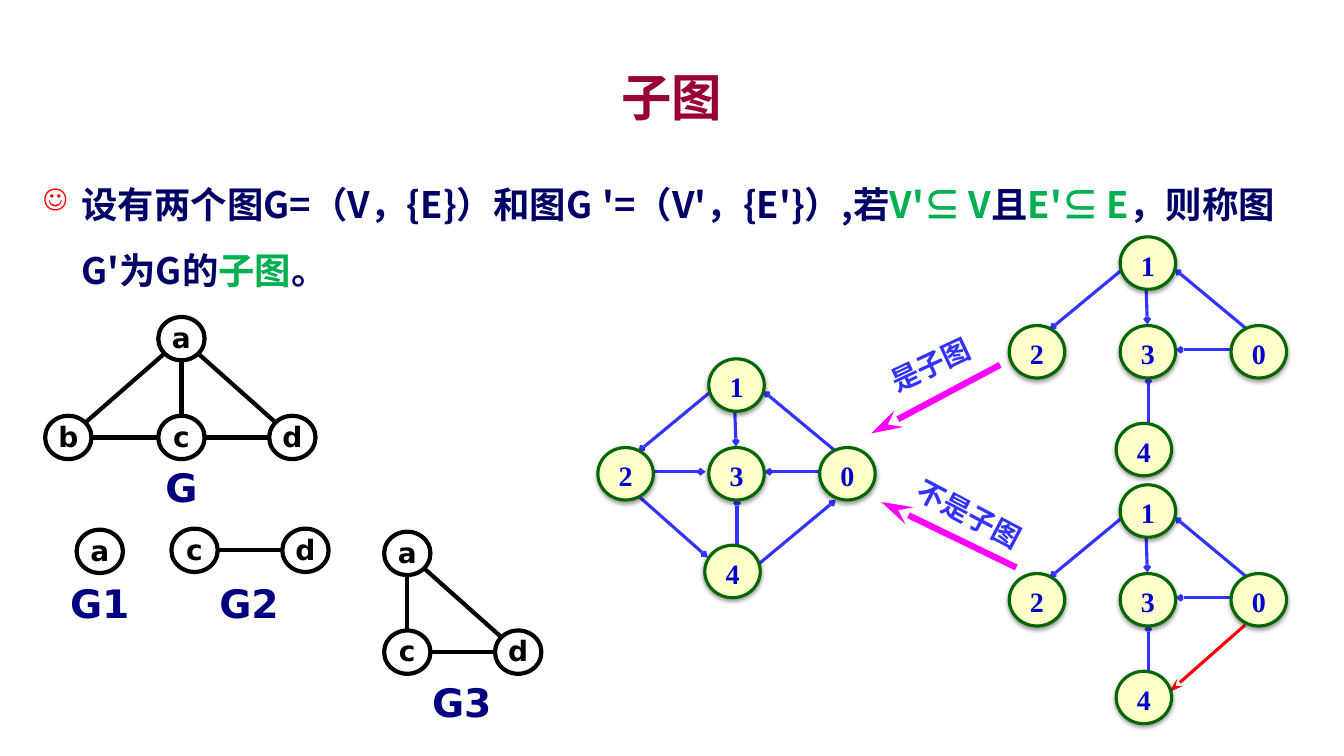
from math import hypot
from lxml import etree
from pptx import Presentation
from pptx.dml.color import RGBColor
from pptx.enum.shapes import MSO_CONNECTOR, MSO_SHAPE
from pptx.enum.text import MSO_ANCHOR, PP_ALIGN
from pptx.oxml.ns import qn
from pptx.util import Inches, Pt

OVAL, LINE = MSO_SHAPE.OVAL, MSO_CONNECTOR.STRAIGHT
TOP, MIDDLE, BOTTOM = MSO_ANCHOR.TOP, MSO_ANCHOR.MIDDLE, MSO_ANCHOR.BOTTOM
CENTER = PP_ALIGN.CENTER

MAROON = RGBColor(0x99, 0x00, 0x33)
INK = RGBColor(0x00, 0x00, 0x66)
GREEN = RGBColor(0x00, 0xB0, 0x50)
BLUE = RGBColor(0x33, 0x33, 0xFF)
NAVY = RGBColor(0x00, 0x00, 0x80)
DIGIT = RGBColor(0x00, 0x00, 0xCC)
CREAM = RGBColor(0xFF, 0xFF, 0xCC)
FOREST = RGBColor(0x00, 0x66, 0x00)
PINK = RGBColor(0xFF, 0x00, 0xFF)
RED = RGBColor(0xFF, 0x00, 0x00)
BLACK = RGBColor(0, 0, 0)

HAN, SANS, SERIF = "Noto Sans CJK SC", "DejaVu Sans", "Times New Roman"

TITLE = "子图"
BODY = [
    ("设有两个图G=（V，{E}）和图G", HAN, 26, INK),
    (" ", SERIF, 28, BLUE),
    ("'=（V'，{E'}）,若", HAN, 26, INK),
    ("V'⊆ V", HAN, 26, GREEN),
    ("且", HAN, 26, INK),
    ("E'⊆ E", HAN, 26, GREEN),
    ("，则称图G'为G的", HAN, 26, INK),
    ("子图", HAN, 26, GREEN),
    ("。", HAN, 26, INK),
]

DISC = (0.55, 0.52)
SPOTS = {"1": (0, 0), "3": (0, 0.88), "0": (1.1, 0.88),
         "2": (-1.1, 0.88), "4": (-0.04, 1.85)}
ARCS = {
    "13": (0.25, 0.29, 0.27, 0.87),
    "43": (0.28, 1.9, 0.28, 1.38),
    "03": (1.1, 1.12, 0.55, 1.12),
    "23": (-0.58, 1.12, -0.03, 1.12),
    "24": (-0.7, 1.36, -0.01, 1.97),
    "40": (0.49, 2.04, 1.26, 1.4),
    "01": (1.25, 0.91, 0.54, 0.32),
    "12": (0.05, 0.3, -0.7, 0.92),
    "04": (1.24, 1.39, 0.48, 2.06),
}
DIGRAPHS = [
    (7.03, 3.56, ["13", "43", "03", "23", "24", "40", "01", "12"]),
    (11.11, 2.35, ["13", "43", "03", "01", "12"]),
    (11.11, 4.81, ["13", "43", "03", "01", "12", "04"]),
]
CLAIMS = [
    ("是子图", (8.65, 3.45, 1.16, 0.34), 334.8, (9.92, 3.62, 8.64, 4.3)),
    ("不是子图", (9.05, 4.93, 1.13, 0.34), 27.8, (10.08, 5.63, 8.74, 4.98)),
]

RING = (0.46, 0.43)
STEP, DROP = 1.1, 0.98
GRAPHS = [
    ("G", (1.17, 4.6, 1.26, 0.46), (1.8, 4.34),
     {"a": (0, -1), "b": (-1.02, 0), "c": (0, 0), "d": (1, 0)},
     ["ab", "ac", "ad", "bc", "cd"]),
    ("G1", (0.56, 5.75, 0.86, 0.42), (0.99, 5.47), {"a": (0, 0)}, []),
    ("G2", (2.04, 5.75, 0.86, 0.42), (1.93, 5.46),
     {"c": (0, 0), "d": (1, 0)}, ["cd"]),
    ("G3", (4.11, 6.73, 0.94, 0.46), (4.04, 6.47),
     {"a": (0, -1), "c": (0, 0), "d": (1, 0)}, ["ac", "ad", "cd"]),
]


def add(home, tag, **attrs):
    return etree.SubElement(home, qn(tag), attrs)


def paint(run, font, size, color):
    run.font.name, run.font.size, run.font.bold = font, Pt(size), True
    run.font.color.rgb = color
    add(run._r.get_or_add_rPr(), "a:ea", typeface=font)


def write(shape, text, font, size, color, anchor=TOP, pad=0, wrap=True):
    frame = shape.text_frame
    frame.text = text
    frame.word_wrap = wrap
    frame.vertical_anchor = anchor
    frame.margin_left = frame.margin_right = frame.margin_bottom = 0
    frame.margin_top = Inches(pad)
    para = frame.paragraphs[0]
    para.alignment = CENTER
    paint(para.runs[0], font, size, color)
    return para


def label(slide, box, *style, **more):
    shape = slide.shapes.add_textbox(*map(Inches, box))
    write(shape, *style, **more)
    return shape


def link(slide, ends, color, width, head=None, wide="sm", long="sm"):
    line = slide.shapes.add_connector(LINE, *map(Inches, ends))
    line.line.color.rgb = color
    line.line.width = Pt(width)
    if head:
        add(line.line._get_or_add_ln(), "a:tailEnd", type=head, w=wide, len=long)
    add(line._element.spPr, "a:effectLst")


def node(slide, x, y, size, color, width):
    shape = slide.shapes.add_shape(OVAL, *map(Inches, (x, y, *size)))
    shape.shadow.inherit = False
    shape.line.color.rgb = color
    shape.line.width = Pt(width)
    return shape


def shade(shape):
    fx = shape._element.spPr.find(qn("a:effectLst"))
    cast = add(fx, "a:outerShdw", blurRad=str(Pt(3.1)), dist=str(Pt(1.6)),
               dir="5400000", rotWithShape="0")
    tint = add(cast, "a:srgbClr", val=str(BLACK))
    add(tint, "a:alpha", val="38000")


def digraph(slide, left, top, arcs):
    for name in arcs:
        x, y, u, v = ARCS[name]
        ends = (left + x, top + y, left + u, top + v)
        if name == "04":
            link(slide, ends, RED, 2.25, "stealth", "med", "lg")
        else:
            link(slide, ends, BLUE, 2.25, "arrow")
    for name, (x, y) in SPOTS.items():
        disc = node(slide, left + x, top + y, DISC, FOREST, 2.25)
        disc.fill.solid()
        disc.fill.fore_color.rgb = CREAM
        shade(disc)
        para = write(disc, name, SERIF, 20, DIGIT, pad=0.12)
        para.line_spacing = 0.72


def graph(slide, name, box, base, spots, edges):
    wide, high = RING
    mids = {k: (base[0] + x * STEP, base[1] + y * DROP)
            for k, (x, y) in spots.items()}
    for start, end in edges:
        (x, y), (u, v) = mids[start], mids[end]
        cut = 1 / hypot((u - x) / (wide / 2), (v - y) / (high / 2))
        dx, dy = (u - x) * cut, (v - y) * cut
        link(slide, (x + dx, y + dy, u - dx, v - dy), BLACK, 3)
    for key, (x, y) in mids.items():
        ring = node(slide, x - wide / 2, y - high / 2, RING, BLACK, 3)
        ring.fill.background()
        write(ring, key, SANS, 20, BLACK, anchor=BOTTOM)
    label(slide, box, name, SANS, 28, NAVY, wrap=False)


def define(slide):
    shape = slide.shapes.add_textbox(*map(Inches, (0.33, 1.5, 12.67, 1.42)))
    frame = shape.text_frame
    frame.word_wrap = True
    para = frame.paragraphs[0]
    para.line_spacing = 1.5
    para.space_before = para.space_after = Pt(6)
    props = para._p.get_or_add_pPr()
    props.set("marL", str(Inches(0.38)))
    props.set("indent", str(Inches(-0.38)))
    add(add(props, "a:buClr"), "a:srgbClr", val=str(RED))
    add(props, "a:buSzPct", val="80000")
    add(props, "a:buChar", char="☺")
    for text, *style in BODY:
        run = para.add_run()
        run.text = text
        paint(run, *style)


def main():
    deck = Presentation()
    deck.slide_width, deck.slide_height = Inches(13.33), Inches(7.5)
    slide = deck.slides.add_slide(deck.slide_layouts[5])
    title = slide.shapes.title
    title.left, title.top, title.width, title.height = map(
        Inches, (1, 0.58, 11.33, 0.75))
    write(title, TITLE, HAN, 36, MAROON, anchor=MIDDLE)
    define(slide)
    for item in DIGRAPHS:
        digraph(slide, *item)
    for text, box, turn, ends in CLAIMS:
        link(slide, ends, PINK, 4.5, "stealth", "med", "lg")
        label(slide, box, text, HAN, 20, BLUE, wrap=False).rotation = turn
    for item in GRAPHS:
        graph(slide, *item)
    deck.save("out.pptx")


if __name__ == "__main__":
    main()
